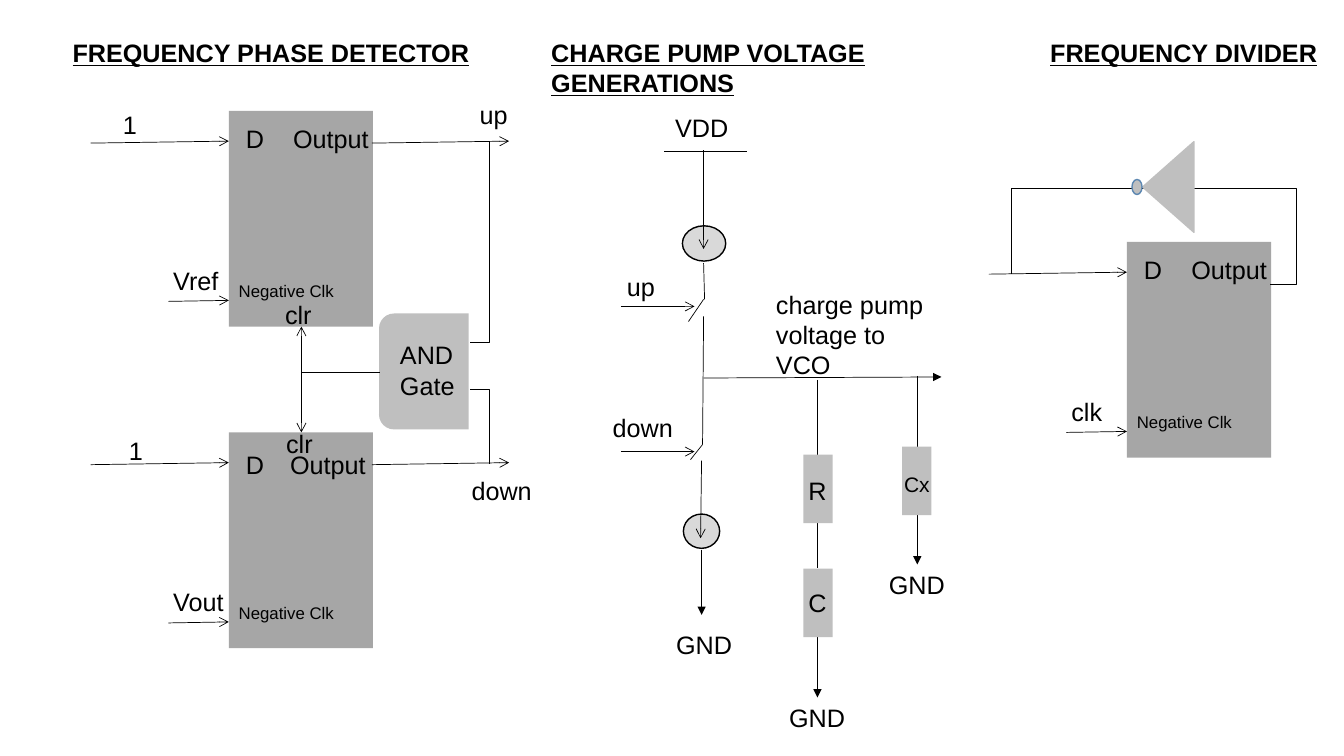
from lxml.etree import SubElement
from pptx import Presentation
from pptx.dml.color import RGBColor as Color
from pptx.enum.shapes import MSO_CONNECTOR as Link, MSO_SHAPE as Form
from pptx.enum.text import MSO_ANCHOR as Anchor, MSO_AUTO_SIZE as Fit, PP_ALIGN as Align
from pptx.oxml.ns import qn
from pptx.util import Inches, Pt

HEX = {"ink": "000000", "block": "A6A6A6", "part": "BFBFBF",
       "source": "D9D9D9", "rim": "5C87B1"}
CELL = Inches(0.1)  # one column or row of the grid
COLS, ROWS = 133.33, 75
FONT = "Arial"


def grid(*cells):
    return [round(n * CELL) for n in cells]


def tint(name):
    return Color.from_string(HEX[name])


def write(box, text, size=18, wrap=False, head=False):
    frame = box.text_frame
    frame.text = text
    frame.word_wrap = wrap
    frame.auto_size = Fit.SHAPE_TO_FIT_TEXT
    frame.vertical_anchor = Anchor.TOP
    if not wrap:
        frame.margin_right = 0  # leaves room for the text on one line
    for line in frame.paragraphs:
        line.alignment = Align.LEFT
        for run in line.runs:
            font = run.font
            font.name, font.size = FONT, Pt(size)
            font.bold = font.underline = head
            font.color.rgb = tint("ink")


def label(slide, text, x, y, w, h=4, **style):
    write(slide.shapes.add_textbox(*grid(x, y, w, h)), text, **style)


def solid(slide, form, x, y, w, h, fill, rim=None, turn=0):
    shape = slide.shapes.add_shape(form, *grid(x, y, w, h))
    shape.shadow.inherit = False
    shape.rotation = turn
    shape.fill.solid()
    shape.fill.fore_color.rgb = tint(fill)
    if rim:
        shape.line.color.rgb = tint(rim)
        shape.line.width = Pt(1)
    else:
        shape.line.fill.background()


def wire(slide, x1, y1, x2, y2, tip=None, width=0.5, bends=0, adjust=()):
    """Draw a line; bends is the number in the bentConnector preset, 0 is straight."""
    kind = Link.ELBOW if bends else Link.STRAIGHT
    line = slide.shapes.add_connector(kind, *grid(x1, y1, x2, y2))
    line.line.color.rgb = tint("ink")
    line.line.width = Pt(width)
    props = line._element.spPr
    if bends:
        shape = props.find(qn("a:prstGeom"))
        shape.set("prst", f"bentConnector{bends}")
        guides = shape.find(qn("a:avLst"))
        if guides is None:
            guides = SubElement(shape, qn("a:avLst"))
        for i, share in enumerate(adjust, 1):
            SubElement(guides, qn("a:gd"), name=f"adj{i}",
                       fmla=f"val {round(share * 100000)}")
    if tip:
        SubElement(props.find(qn("a:ln")), qn("a:tailEnd"), type=tip)
    SubElement(props, qn("a:effectLst"))


def latch(slide, x, y, clock, width, drop=0.7, out=5.4):
    """Draw a D flip-flop with its two input arrows."""
    solid(slide, Form.RECTANGLE, x, y, 14.3, 21.4, "block")
    label(slide, "D", x + 0.7, y + drop, 2.7)
    label(slide, "Output", x + out, y + drop, 9.5)
    label(slide, "Negative Clk", x, y + 16.4, 11.4, 3, size=12)
    label(slide, clock, x - 6.5, y + 14.8, width)
    wire(slide, x - 13.7, y + 3.2, x, y + 3, "arrow")
    wire(slide, x - 6, y + 18.9, x, y + 18.8, "arrow")


def part(slide, x, y, name, left, top, width, size=18):
    solid(slide, Form.RECTANGLE, x, y, 2.9, 6.8, "part")
    label(slide, name, left, top, width, size=size)


def detect(slide):
    latch(slide, 22.7, 11, "Vref", 6.5)
    latch(slide, 22.7, 42.9, "Vout", 7, drop=1.2, out=5.1)
    for y in (11, 42.9):
        wire(slide, 36.9, y + 3.2, 50.5, y + 3, "arrow")
    solid(slide, Form.ROUND_2_SAME_RECTANGLE, 36.3, 32.4, 11.5, 8.9, "part", turn=270)
    for y, port in ((14, 34), (46, 38.6)):
        wire(slide, 48.6, y, 46.6, port, bends=3, adjust=[0])
    for y in (32.4, 42.9):
        wire(slide, 37.7, 36.9, 29.9, y, "arrow", bends=2)
    for text, x, y, w in (("1", 11.2, 10.4, 3.4), ("1", 11.8, 42.7, 3.4),
                          ("clr", 27.3, 29.2, 4.6), ("clr", 27.4, 42, 4.6),
                          ("up", 46.6, 9.4, 4.8), ("down", 45.8, 46.7, 8)):
        label(slide, text, x, y, w)
    label(slide, "AND\nGate", 38.7, 33.2, 8, 7.1)


def pump(slide):
    solid(slide, Form.OVAL, 67.8, 51, 3.6, 3.4, "source", "ink")
    solid(slide, Form.OVAL, 67.7, 22.4, 4.3, 3.5, "source", "ink")
    for ends in ((65.9, 15, 74.1, 15), (69.8, 14.9, 69.8, 24.7, "arrow"),
                 (69.8, 26.1, 69.9, 29.7), (69.8, 29.7, 68.3, 31.9),
                 (69.8, 31.4, 69.7, 44.1), (69.7, 44.1, 68.5, 45.6),
                 (69.6, 45.7, 69.5, 53.4, "arrow"),
                 (69.6, 54.6, 69.6, 61, "triangle", 1),
                 (61.6, 30.4, 68.9, 30.4, "arrow"),
                 (61.6, 44.8, 68.9, 44.8, "arrow"),
                 (69.8, 37.5, 93.4, 37.4, "triangle"),
                 (81.1, 37.7, 81.1, 45.1), (81.1, 48.9, 81.1, 56.4),
                 (81.1, 61.7, 81.1, 69.2, "triangle"),
                 (91, 37.3, 91, 44.8), (91, 48.6, 91, 56, "triangle")):
        wire(slide, *ends)
    part(slide, 79.7, 45.1, "R", 79.2, 46.7, 3.8)
    part(slide, 79.7, 56.4, "C", 79.2, 57.8, 3.8)
    part(slide, 89.5, 44.3, "Cx", 88.7, 46.3, 4.5, size=15)
    for x, y in ((66.1, 61.9), (77.3, 69.2), (87.2, 56)):
        label(slide, "GND", x, y, 7.6)
    label(slide, "VDD", 66, 10.7, 7.3)
    label(slide, "up", 61.2, 26.4, 4.8)
    label(slide, "down", 59.8, 40.4, 8)
    label(slide, "charge pump\nvoltage to VCO", 76, 28.2, 17.3, 10.1, wrap=True)


def divide(slide):
    latch(slide, 111.8, 24, "clk", 5.1)
    wire(slide, 126, 28.2, 100.3, 27.2, bends=5, adjust=(-0.1, 9.55, 1))
    solid(slide, Form.ISOSCELES_TRIANGLE, 111.4, 16, 9, 5.1, "part", "part", 270)
    solid(slide, Form.OVAL, 112.3, 17.8, 1, 1.5, "part", "rim")


def main():
    deck = Presentation()
    deck.slide_width, deck.slide_height = grid(COLS, ROWS)
    slide = deck.slides.add_slide(deck.slide_layouts[5])
    title = slide.shapes.title
    title.left, title.top, title.width, title.height = grid(6.2, 3.2, 41.3, 4)
    write(title, "FREQUENCY PHASE DETECTOR", head=True)
    label(slide, "CHARGE PUMP VOLTAGE\nGENERATIONS", 53.7, 3.2, 33.8, 7.1, head=True)
    label(slide, "FREQUENCY DIVIDER", 103.2, 3.2, 28.5, head=True)
    detect(slide)
    pump(slide)
    divide(slide)
    deck.save("out.pptx")


if __name__ == "__main__":
    main()
